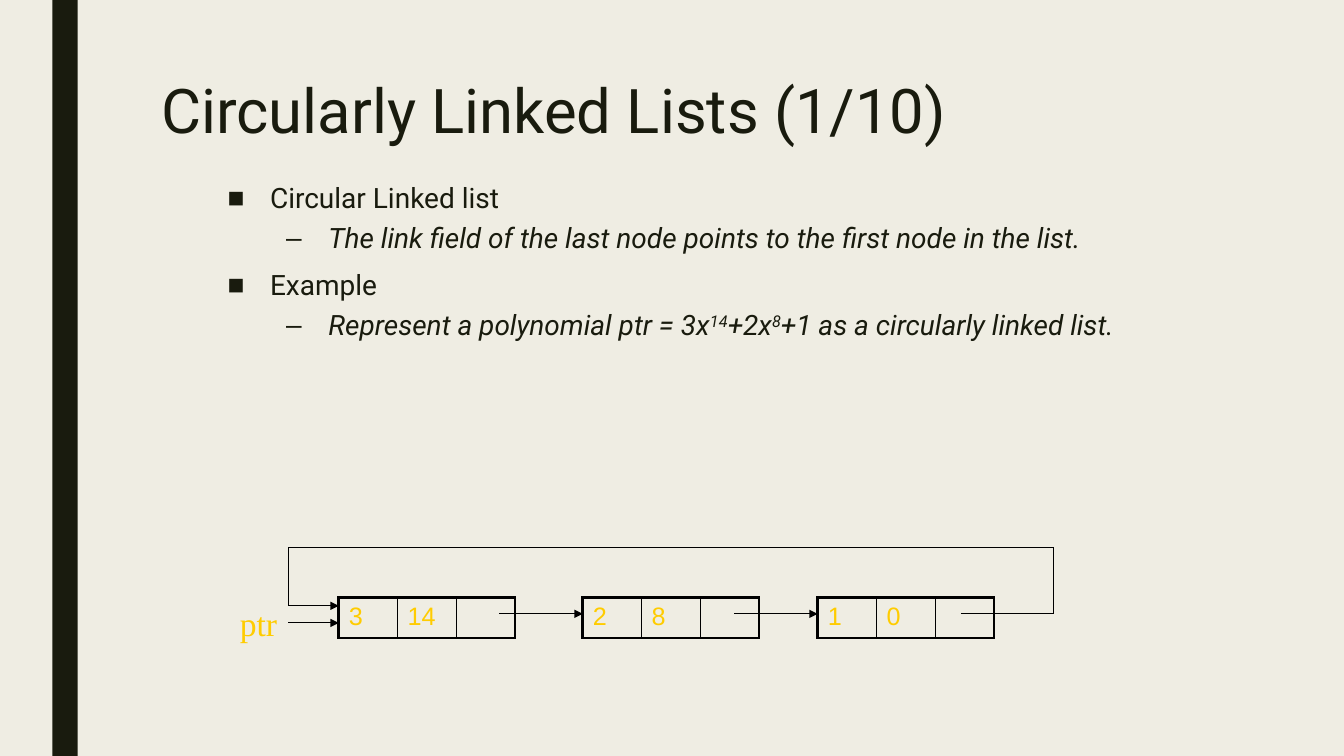
from lxml.etree import SubElement
from pptx import Presentation
from pptx.dml.color import RGBColor
from pptx.enum.shapes import MSO_CONNECTOR as Connector, MSO_SHAPE as Shape
from pptx.enum.text import MSO_ANCHOR as Anchor, PP_ALIGN as Align
from pptx.oxml.ns import qn
from pptx.util import Inches, Pt

COLORS = {"paper": "EFEDE3", "ink": "191B0E", "line": "000000", "gold": "FFCC00"}
BULLETS = [("■", 0.42, 10), ("–", 1, 5)]  # character, indent, space before
HANGING = 0.42


def color(name):
    return RGBColor.from_string(COLORS[name])


def add_text(para, text, font="Roboto", size=20, fill="ink", italic=False, raised=False):
    span = para.add_run()
    span.text = text
    span.font.name = font
    span.font.size = Pt(size)
    span.font.italic = italic
    span.font.color.rgb = color(fill)
    if raised:
        span.font._element.set("baseline", "30000")


def add_bullet(para, level):
    character, indent, before = BULLETS[level]
    properties = para._p.get_or_add_pPr()
    properties.set("lvl", str(level))
    properties.set("marL", str(Inches(indent)))
    properties.set("indent", str(-Inches(HANGING)))
    SubElement(properties, qn("a:buFont"), typeface="Arial")
    SubElement(properties, qn("a:buChar"), char=character)
    return before


def add_borders(cell, widths):
    """Draw the cell's borders; widths maps L, R, T and B to points."""
    properties = cell._tc.get_or_add_tcPr()
    for side, width in widths.items():
        border = SubElement(properties, qn(f"a:ln{side}"), w=str(Pt(width)))
        fill = SubElement(border, qn("a:solidFill"))
        SubElement(fill, qn("a:srgbClr"), val=COLORS["line"])


class SlideBuilder:
    def __init__(self, deck):
        self.slide = deck.slides.add_slide(deck.slide_layouts[5])
        self.shapes = self.slide.shapes
        self.slide.background.fill.solid()
        self.slide.background.fill.fore_color.rgb = color("paper")

    def bar(self, *place):
        bar = self.shapes.add_shape(Shape.RECTANGLE, *map(Inches, place))
        bar.shadow.inherit = False
        bar.fill.solid()
        bar.fill.fore_color.rgb = color("ink")
        bar.line.fill.background()

    def title(self, text, *place):
        title = self.shapes.title
        title.left, title.top, title.width, title.height = map(Inches, place)
        title.text_frame.vertical_anchor = Anchor.TOP
        para = title.text_frame.paragraphs[0]
        para.alignment = Align.LEFT
        para.line_spacing = 0.89
        add_text(para, text, size=44)

    def bullets(self, items, *place):
        """Each item is a level and its texts; every second text is raised."""
        frame = self.shapes.add_textbox(*map(Inches, place)).text_frame
        frame.word_wrap = True
        for index, (level, *texts) in enumerate(items):
            para = frame.add_paragraph() if index else frame.paragraphs[0]
            before = add_bullet(para, level)
            para.line_spacing = 0.9
            para.space_before = Pt(before if index else 0)
            para.space_after = Pt(2)
            for position, text in enumerate(texts):
                add_text(para, text, italic=level == 1, raised=position % 2 == 1)

    def label(self, text, *place):
        frame = self.shapes.add_textbox(*map(Inches, place)).text_frame
        frame.word_wrap = False
        add_text(frame.paragraphs[0], text, font="Times New Roman", size=24, fill="gold")

    def line(self, start, end, arrow=False):
        line = self.shapes.add_connector(Connector.STRAIGHT, *map(Inches, start + end))
        line.line.width = Pt(0.75)
        line.line.color.rgb = color("line")
        if arrow:
            SubElement(line.line._get_or_add_ln(), qn("a:tailEnd"), type="triangle")
        SubElement(line._element.spPr, qn("a:effectLst"))

    def path_line(self, points):
        """Join the points with lines, the last one ending in an arrowhead."""
        for index in range(1, len(points)):
            self.line(points[index - 1], points[index], arrow=index == len(points) - 1)

    def node(self, values, *place):
        """A list node: one cell a value, with a heavy outline and thin dividers."""
        table = self.shapes.add_table(1, len(values), *map(Inches, place)).table
        table.first_row = table.horz_banding = False
        last = len(values) - 1
        for column, value in enumerate(values):
            cell = table.cell(0, column)
            add_borders(cell, {"L": 1 if column else 2.25, "R": 1 if column < last else 2.25,
                               "T": 2.25, "B": 2.25})
            cell.fill.background()
            if value:
                add_text(cell.text_frame.paragraphs[0], value, font="Arial", size=18, fill="gold")


def main():
    deck = Presentation()
    deck.slide_width, deck.slide_height = Inches(13.33), Inches(7.5)
    page = SlideBuilder(deck)
    page.bar(0.52, 0, 0.25, 7.5)
    page.title("Circularly Linked Lists (1/10)", 1.5, 0.75, 10.5, 1.62)
    page.bullets([
        (0, "Circular Linked list"),
        (1, "The link field of the last node points to the first node in the list."),
        (0, "Example"),
        (1, "Represent a polynomial ptr = 3x", "14", "+2x", "8", "+1 as a circularly linked list."),
    ], 2.16, 1.78, 9, 3.23)

    node_lefts = [3.36, 5.78, 8.11]
    link_y, loop_y, return_y, pointer_y = 6.09, 5.43, 6.01, 6.18
    loop_left, loop_right = 2.86, 10.45
    for start, end in zip([4.95, 7.28], node_lefts[1:]):
        page.line((start, link_y), (end, link_y), arrow=True)
    page.path_line([(9.53, link_y), (loop_right, link_y), (loop_right, loop_y),
                    (loop_left, loop_y), (loop_left, return_y), (node_lefts[0], return_y)])
    page.line((loop_left, pointer_y), (node_lefts[0], pointer_y), arrow=True)
    page.label("ptr", 2.28, 5.93, 0.58, 0.5)
    for left, term in zip(node_lefts, [("3", "14"), ("2", "8"), ("1", "0")]):
        page.node((*term, ""), left, 5.93, 1.75, 0.4)
    deck.save("out.pptx")


if __name__ == "__main__":
    main()
